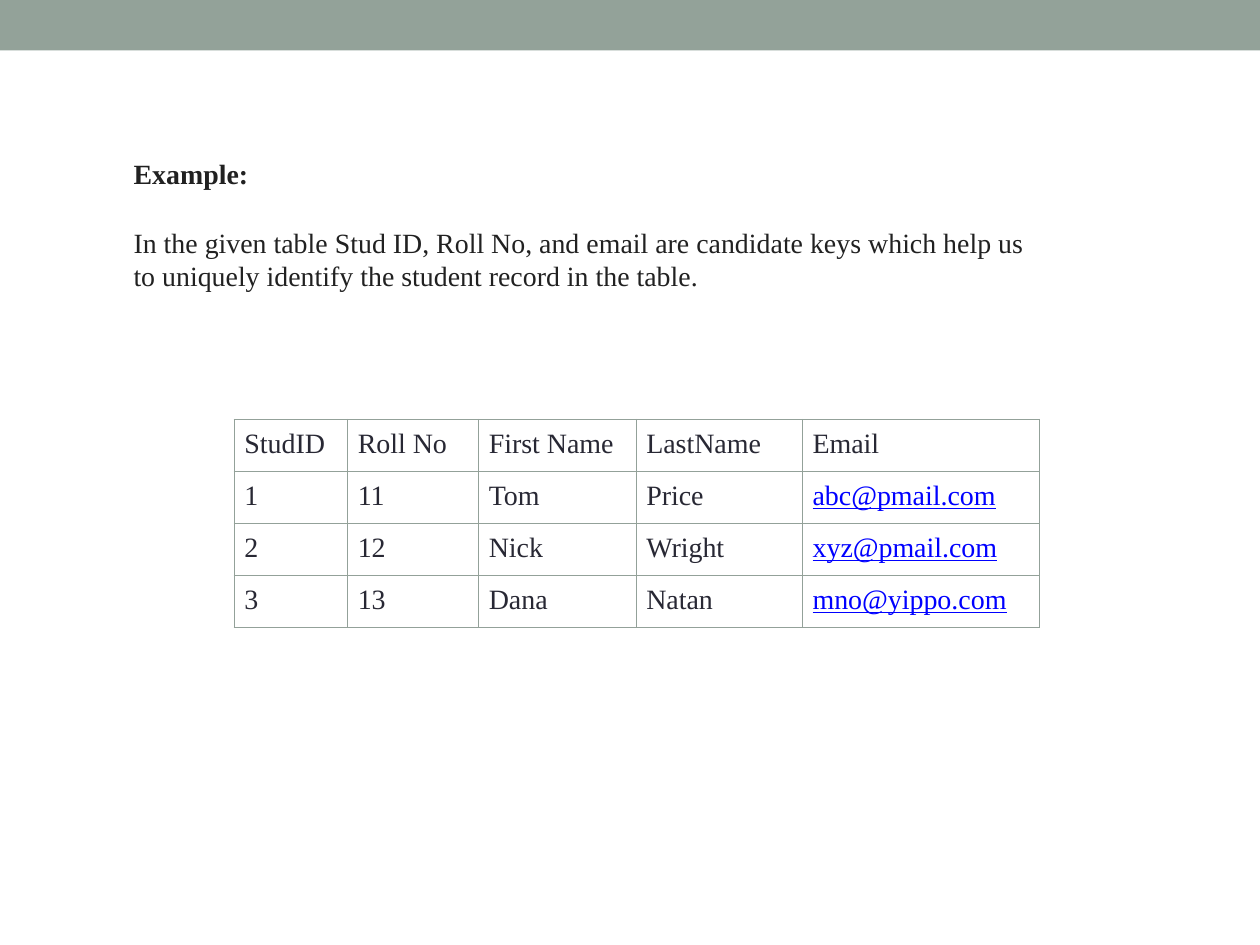
from lxml.etree import SubElement
from pptx import Presentation
from pptx.dml.color import RGBColor
from pptx.enum.shapes import MSO_SHAPE as Shape
from pptx.oxml.ns import qn
from pptx.util import Inches, Pt

FONT = "Times New Roman"
BAND, BORDER = "93A299", "93A199"
BODY_TEXT, CELL_TEXT, LINK_TEXT = "212121", "282834", "0000FF"
COLUMN_WIDTHS = [0.9, 1.04, 1.25, 1.32, 1.88]
STUDENTS = [
    ["StudID", "Roll No", "First Name", "LastName", "Email"],
    ["1", "11", "Tom", "Price", "abc@pmail.com"],
    ["2", "12", "Nick", "Wright", "xyz@pmail.com"],
    ["3", "13", "Dana", "Natan", "mno@yippo.com"],
]


def color(value):
    """Return the colour for a hex string."""
    return RGBColor.from_string(value)


def add_run(paragraph, text, size, text_color, bold=False, underline=False):
    """Add one formatted run to a paragraph."""
    run = paragraph.add_run()
    run.text = text
    font = run.font
    font.name, font.size = FONT, Pt(size)
    font.bold, font.underline = bold, underline
    font.color.rgb = color(text_color)


def add_band(slide, left, top, width, height):
    """Draw the plain band along the top of the slide."""
    band = slide.shapes.add_shape(Shape.RECTANGLE, left, top, width, height)
    band.shadow.inherit = False
    band.fill.solid()
    band.fill.fore_color.rgb = color(BAND)
    band.line.fill.background()


def add_example(slide, left, top, width, height):
    """Write the example heading and its explanation."""
    frame = slide.shapes.add_textbox(left, top, width, height).text_frame
    frame.word_wrap = True
    frame.margin_left = frame.margin_top = Inches(0.01)
    frame.margin_right = frame.margin_bottom = 0
    add_run(frame.paragraphs[0], "Example:", 15.9, BODY_TEXT, bold=True)
    explanation = frame.add_paragraph()
    explanation.space_before = Pt(20.5)
    add_run(explanation,
            "In the given table Stud ID, Roll No, and email are candidate keys which "
            "help us to uniquely identify the student record in the table.",
            15.9, BODY_TEXT)


def add_borders(cell):
    """Draw a thin line on all four sides of a cell."""
    properties = cell._tc.get_or_add_tcPr()
    for side in ("a:lnL", "a:lnR", "a:lnT", "a:lnB"):
        line = SubElement(properties, qn(side), w=str(Pt(1)))
        fill = SubElement(line, qn("a:solidFill"))
        SubElement(fill, qn("a:srgbClr"), val=BORDER)


def add_student_table(slide, left, top, width, height):
    """Build the bordered table of student records."""
    table = slide.shapes.add_table(
        len(STUDENTS), len(COLUMN_WIDTHS), left, top, width, height).table
    table.first_row = table.horz_banding = False
    for column, column_width in zip(table.columns, COLUMN_WIDTHS):
        column.width = Inches(column_width)
    for row, values in enumerate(STUDENTS):
        for column, value in enumerate(values):
            cell = table.cell(row, column)
            cell.margin_left, cell.margin_top = Inches(0.08), Inches(0.07)
            cell.margin_right = cell.margin_bottom = 0
            add_borders(cell)
            cell.fill.background()
            is_email = "@" in value
            add_run(cell.text_frame.paragraphs[0], value, 16,
                    LINK_TEXT if is_email else CELL_TEXT, underline=is_email)


def main():
    """Build the slide and save it."""
    presentation = Presentation()
    presentation.slide_width, presentation.slide_height = Inches(10), Inches(7.5)
    slide = presentation.slides.add_slide(presentation.slide_layouts[6])
    add_band(slide, 0, 0, presentation.slide_width, Inches(0.4))
    add_student_table(slide, Inches(1.86), Inches(3.33),
                      Inches(sum(COLUMN_WIDTHS)), Inches(1.65))
    add_example(slide, Inches(1.05), Inches(1.23), Inches(7.25), Inches(1.09))
    presentation.save("out.pptx")


if __name__ == "__main__":
    main()
